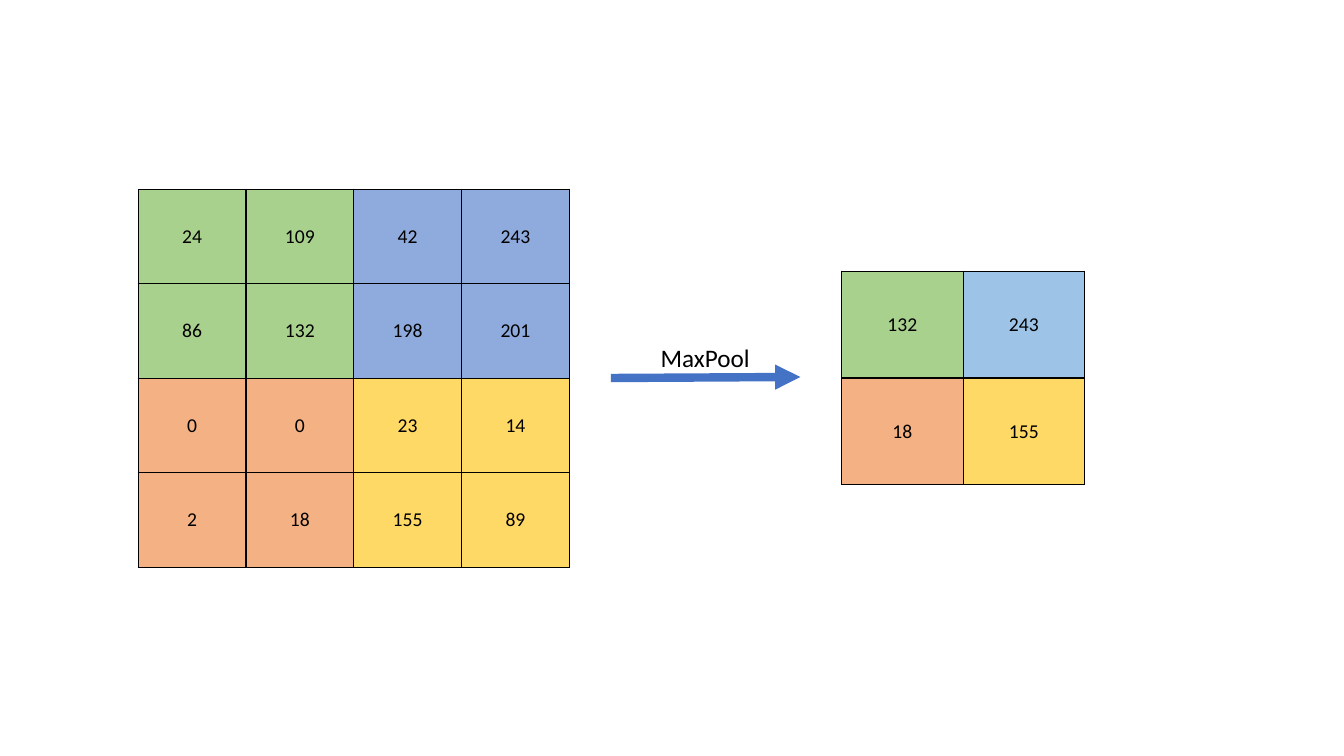
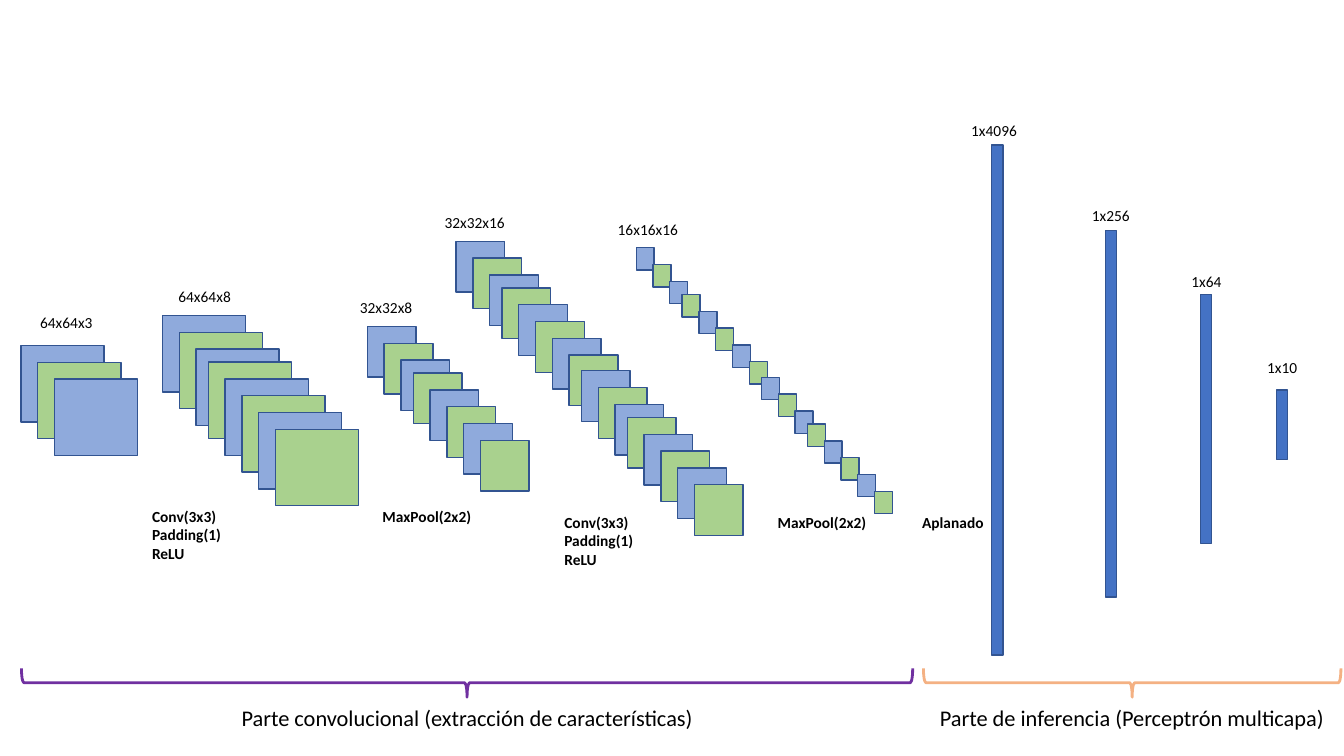
"""Build two slides that explain max pooling and a convolutional network."""
import itertools

import lxml.etree
import pptx
import pptx.dml.color
import pptx.enum.shapes
import pptx.enum.text
import pptx.oxml.ns
import pptx.util

RGBColor = pptx.dml.color.RGBColor
MSO_SHAPE = pptx.enum.shapes.MSO_SHAPE
PP_ALIGN = pptx.enum.text.PP_ALIGN
qn = pptx.oxml.ns.qn

BLACK = RGBColor(0x00, 0x00, 0x00)
GREEN = RGBColor(0xA9, 0xD1, 0x8E)
PERIWINKLE = RGBColor(0x8F, 0xAA, 0xDC)
SKY = RGBColor(0x9D, 0xC3, 0xE6)
ORANGE = RGBColor(0xF4, 0xB1, 0x83)
YELLOW = RGBColor(0xFF, 0xD9, 0x66)
BLUE = RGBColor(0x44, 0x72, 0xC4)
NAVY = RGBColor(0x32, 0x54, 0x91)
PURPLE = RGBColor(0x70, 0x30, 0xA0)

FONT = "Calibri"
COLUMNS, ROWS = 80, 45
CELL = pptx.util.Inches(1) / 6

LABEL_WIDTH, LABEL_HEIGHT = 4.95, 1.72
BAR_WIDTH = 0.67
BRACE_HEIGHT = 1.72

FULL_STEP, SHORT_STEP, MIDDLE_STEP = (1, 1), (0.73, 0.78), (0.73, 0.93)
STACK_STEPS = (
    [FULL_STEP] * 2 + [SHORT_STEP] + [FULL_STEP] * 4 + [MIDDLE_STEP]
    + [FULL_STEP] * 2 + [SHORT_STEP] + [FULL_STEP] * 4
)

INPUT_VALUES = [[24, 109, 42, 243], [86, 132, 198, 201], [0, 0, 23, 14], [2, 18, 155, 89]]
POOLED_VALUES = [[132, 243], [18, 155]]

STACKS = [
    (1.25, 20.57, 4.95, 4.55, 3),
    (9.67, 18.78, 4.95, 4.55, 8),
    (21.87, 19.43, 2.9, 3.02, 8),
    (27.15, 14.36, 2.9, 3.02, 16),
    (37.87, 14.75, 1.07, 1.33, 16),
]
BARS = [
    (59.03, 8.63, 30.37),
    (65.8, 13.73, 21.8),
    (71.45, 17.52, 14.82),
    (75.97, 23.22, 4.13),
]
SIZE_LABELS = [
    ("64x64x3", 1.8, 18.36),
    ("64x64x8", 10.03, 16.8),
    ("32x32x8", 20.83, 17.48),
    ("32x32x16", 25.87, 12.37),
    ("16x16x16", 36.18, 12.78),
    ("1x4096", 57.22, 6.9),
    ("1x256", 64.4, 12),
    ("1x64", 70.32, 15.9),
    ("1x10", 74.83, 21),
]
CONVOLUTION = "Conv(3x3)\nPadding(1)\nReLU"
POOLING = "MaxPool(2x2)"
OPERATIONS = [
    (CONVOLUTION, 8.46, 29.88, 5.94, 3.96, PP_ALIGN.LEFT),
    (POOLING, 21.96, 29.88, 6.9, LABEL_HEIGHT, PP_ALIGN.CENTER),
    (CONVOLUTION, 33, 30.24, 5.94, 3.96, PP_ALIGN.LEFT),
    (POOLING, 45.48, 30.24, 6.9, LABEL_HEIGHT, PP_ALIGN.CENTER),
    ("Aplanado", 54.3, 30.24, LABEL_WIDTH, LABEL_HEIGHT, PP_ALIGN.LEFT),
]
PARTS = [
    ("Parte de inferencia (Perceptrón multicapa)", 54.97, 24.85, 54.96, 24.84, ORANGE),
    ("Parte convolucional (extracción de características)", 1.28, 53.05, 13.44, 28.74, PURPLE),
]


def grid(count):
    """Turn a number of grid cells into a length."""
    return pptx.util.Emu(round(count * CELL))


def write_text(frame, text, size=11, bold=False, color=BLACK, align=PP_ALIGN.LEFT):
    """Fill a text frame, one paragraph for each line of text."""
    frame.text = text
    for paragraph in frame.paragraphs:
        paragraph.alignment = align
        for run in paragraph.runs:
            run.font.name = FONT
            run.font.size = pptx.util.Pt(size)
            run.font.bold = bold
            run.font.color.rgb = color


class Deck:
    """Hold the presentation, its style and the current slide."""

    def __init__(self):
        """Start an empty widescreen presentation."""
        self.presentation = pptx.Presentation()
        self.presentation.slide_width = grid(COLUMNS)
        self.presentation.slide_height = grid(ROWS)
        self.slide = None

    def new_slide(self):
        """Add a blank slide and make it current."""
        self.slide = self.presentation.slides.add_slide(self.presentation.slide_layouts[6])

    def text(self, text, column, row, width, height, **text_format):
        """Add a text box."""
        box = self.slide.shapes.add_textbox(*map(grid, (column, row, width, height)))
        box.text_frame.word_wrap = True
        box.text_frame.auto_size = pptx.enum.text.MSO_AUTO_SIZE.SHAPE_TO_FIT_TEXT
        write_text(box.text_frame, text, **text_format)

    def shape(self, kind, column, row, width, height, line, fill=None, line_width=1):
        """Add a preset shape without shadow."""
        shape = self.slide.shapes.add_shape(kind, *map(grid, (column, row, width, height)))
        shape.shadow.inherit = False
        if fill is None:
            shape.fill.background()
        else:
            shape.fill.solid()
            shape.fill.fore_color.rgb = fill
        shape.line.color.rgb = line
        shape.line.width = pptx.util.Pt(line_width)
        return shape

    def stack(self, column, row, width, height, count):
        """Add feature maps in alternating colours, stepping down to the right."""
        steps = [(column, row)] + STACK_STEPS[:count - 1]
        places = itertools.accumulate(steps, lambda a, b: (a[0] + b[0], a[1] + b[1]))
        for place, fill in zip(places, itertools.cycle((PERIWINKLE, GREEN))):
            self.shape(MSO_SHAPE.RECTANGLE, *place, width, height, NAVY, fill)

    def brace(self, column, row, width, color):
        """Add a horizontal brace that points down."""
        shift = (width - BRACE_HEIGHT) / 2
        brace = self.shape(MSO_SHAPE.LEFT_BRACE, column + shift, row - shift,
                           BRACE_HEIGHT, width, color, line_width=2)
        brace.rotation = 270

    def arrow(self, start, end, color, width):
        """Add a straight arrow."""
        connector = self.slide.shapes.add_connector(
            pptx.enum.shapes.MSO_CONNECTOR.STRAIGHT, *map(grid, start + end))
        connector.line.color.rgb = color
        connector.line.width = pptx.util.Pt(width)
        properties = connector.element.spPr
        lxml.etree.SubElement(properties.find(qn("a:ln")), qn("a:tailEnd"), type="triangle")
        lxml.etree.SubElement(properties, qn("a:effectLst"))

    def matrix(self, values, quadrants, column, row, cell_width, cell_height):
        """Add a square table of numbers with one colour for each quadrant."""
        count = len(values)
        frame = self.slide.shapes.add_table(
            count, count, *map(grid, (column, row, count * cell_width, count * cell_height)))
        table = frame.table
        table.first_row = table.horz_banding = False
        for table_column in table.columns:
            table_column.width = grid(cell_width)
        for table_row in table.rows:
            table_row.height = grid(cell_height)
        for element in frame.element.iter(qn("a:tc")):
            self.borders(element.get_or_add_tcPr())
        for y, x in itertools.product(range(count), repeat=2):
            cell = table.cell(y, x)
            cell.vertical_anchor = pptx.enum.text.MSO_ANCHOR.MIDDLE
            cell.fill.solid()
            cell.fill.fore_color.rgb = quadrants[2 * y // count][2 * x // count]
            write_text(cell.text_frame, str(values[y][x]), size=14, align=PP_ALIGN.CENTER)

    def borders(self, properties):
        """Draw a thin black line on every side of a table cell."""
        for side in ("a:lnL", "a:lnR", "a:lnT", "a:lnB"):
            line = lxml.etree.SubElement(properties, qn(side), w=str(pptx.util.Pt(1)))
            fill = lxml.etree.SubElement(line, qn("a:solidFill"))
            lxml.etree.SubElement(fill, qn("a:srgbClr"), val=str(BLACK))


def add_pooling_slide(deck):
    """Show a matrix and its max pooled result."""
    deck.new_slide()
    deck.matrix(INPUT_VALUES, [[GREEN, PERIWINKLE], [ORANGE, YELLOW]], 8.22, 11.26, 6.42, 5.63)
    deck.matrix(POOLED_VALUES, [[GREEN, SKY], [ORANGE, YELLOW]], 50.1, 16.14, 7.23, 6.36)
    deck.arrow((36.36, 22.5), (47.64, 22.44), BLUE, 6)
    deck.text("MaxPool", 38.7, 20.1, 6.54, 2.4, size=18, align=PP_ALIGN.CENTER)


def add_network_slide(deck):
    """Show the layers of the network from image to classes."""
    deck.new_slide()
    for stack in STACKS:
        deck.stack(*stack)
    for column, row, height in BARS:
        deck.shape(MSO_SHAPE.RECTANGLE, column, row, BAR_WIDTH, height, NAVY, BLUE)
    for text, column, row in SIZE_LABELS:
        deck.text(text, column, row, LABEL_WIDTH, LABEL_HEIGHT)
    for text, column, row, width, height, align in OPERATIONS:
        deck.text(text, column, row, width, height, bold=True, align=align)
    for text, column, width, text_column, text_width, color in PARTS:
        deck.brace(column, 39.78, width, color)
        deck.text(text, text_column, 41.64, text_width, 2.22, size=16, align=PP_ALIGN.CENTER)


def main():
    """Build and save the presentation."""
    deck = Deck()
    add_pooling_slide(deck)
    add_network_slide(deck)
    deck.presentation.save("out.pptx")


if __name__ == "__main__":
    main()
